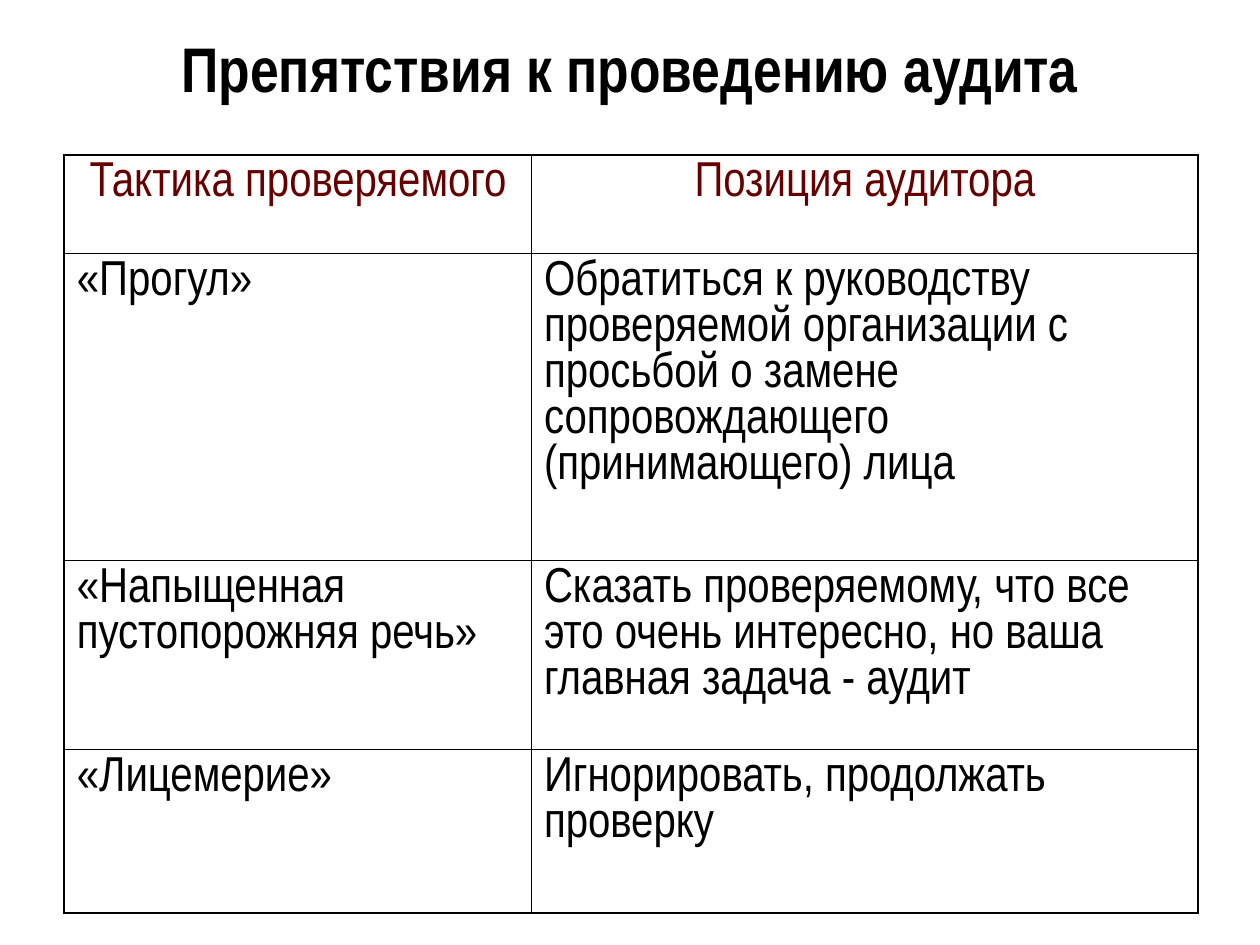
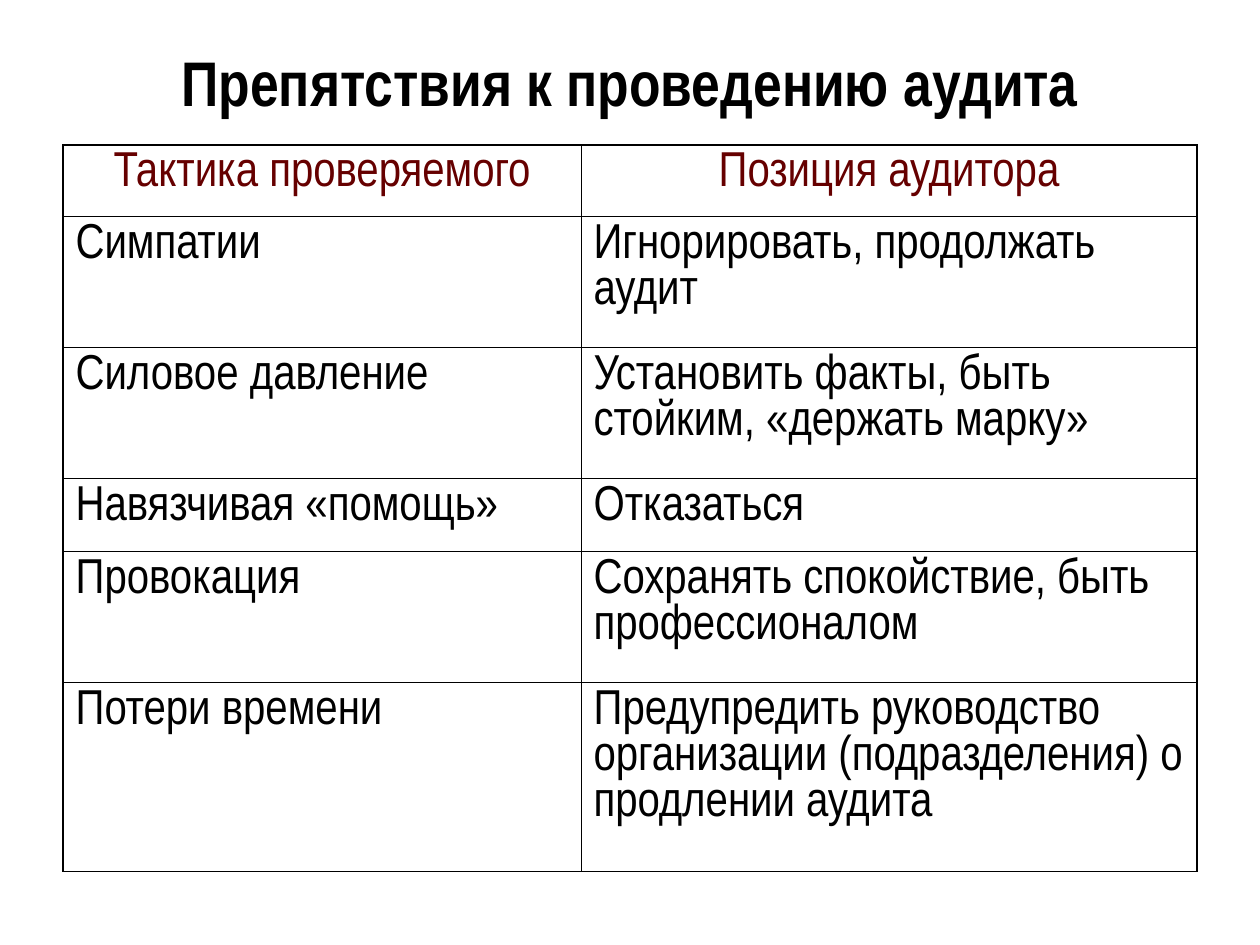
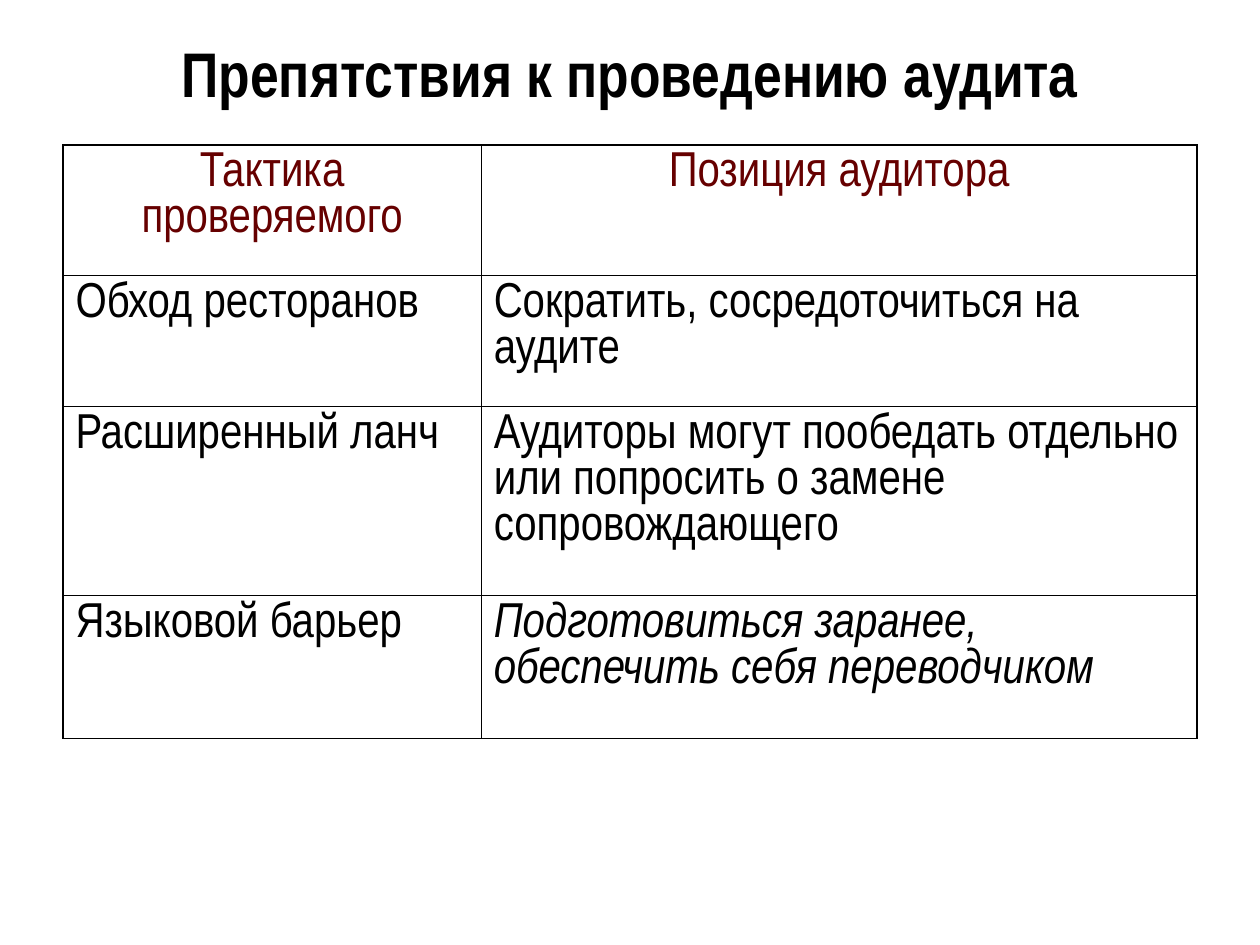
from dataclasses import dataclass

from lxml import etree
from pptx import Presentation
from pptx import util as u
from pptx.dml import color
from pptx.enum import text
from pptx.oxml import ns


@dataclass(frozen=True)
class Theme:
    font: str = "Arial Narrow"
    ink: str = "000000"
    heading: str = "660000"
    title_size: float = 36
    cell_size: float = 28
    outer_line: float = 1.08
    inner_line: float = 0.45


THEME = Theme()
PAGE_SIZE = (720, 540)
TITLE = "Препятствия к проведению аудита"
HEADINGS = ("Тактика проверяемого", "Позиция аудитора")

# Boxes are left, top, width, height; the first row height is the heading row.
SLIDES = [
    {
        "title_box": (36, 15, 648, 47),
        "table_box": (36.7, 88.5, 648, 433.3),
        "first_column": 267,
        "row_heights": (56.2, 175.7, 108, 93.4),
        "rows": [
            ("«Прогул»", "Обратиться к руководству проверяемой организации с просьбой "
                         "о замене сопровождающего (принимающего) лица"),
            ("«Напыщенная пустопорожняя речь»",
             "Сказать проверяемому, что все это очень интересно, но ваша главная задача - аудит"),
            ("«Лицемерие»", "Игнорировать, продолжать проверку"),
        ],
    },
    {
        "title_box": (36, 20, 648, 53),
        "table_box": (36, 82.8, 648, 415.2),
        "first_column": 296,
        "row_heights": (41, 74.8, 74.8, 41.8, 74.8, 108),
        "rows": [
            ("Симпатии", "Игнорировать, продолжать аудит"),
            ("Силовое давление", "Установить факты, быть стойким, «держать марку»"),
            ("Навязчивая «помощь»", "Отказаться"),
            ("Провокация", "Сохранять спокойствие, быть профессионалом"),
            ("Потери времени",
             "Предупредить руководство организации (подразделения) о продлении аудита"),
        ],
    },
    {
        "title_box": (36, 15, 648, 53),
        "table_box": (36, 82.8, 648, 339.1),
        "first_column": 239,
        "row_heights": (74.8, 74.8, 108, 81.5),
        "rows": [
            ("Обход ресторанов", "Сократить, сосредоточиться на аудите"),
            ("Расширенный ланч",
             "Аудиторы могут пообедать отдельно или попросить о замене сопровождающего"),
            ("Языковой барьер", "Подготовиться заранее, обеспечить себя переводчиком"),
        ],
        "italic_cell": (3, 1),
    },
]


def write(frame, words, size=THEME.cell_size, ink=THEME.ink, bold=False, italic=False,
          align=text.PP_ALIGN.LEFT):
    frame.word_wrap = True
    para = frame.paragraphs[0]
    para.alignment = align
    span = para.add_run()
    span.text = words
    span.font.name = THEME.font
    span.font.size = u.Pt(size)
    span.font.bold = bold
    span.font.italic = italic
    span.font.color.rgb = color.RGBColor.from_string(ink)


def add_title(page, box):
    frame = page.shapes.add_textbox(*map(u.Pt, box)).text_frame
    frame.margin_left = frame.margin_right = frame.margin_top = frame.margin_bottom = 0
    frame.vertical_anchor = text.MSO_ANCHOR.MIDDLE
    write(frame, TITLE, size=THEME.title_size, bold=True, align=text.PP_ALIGN.CENTER)


def set_borders(cell, widths):
    """Draw the left, right, top and bottom lines, in that order."""
    properties = cell._tc.get_or_add_tcPr()
    for index, (side, width) in enumerate(zip("LRTB", widths)):
        line = etree.Element(ns.qn(f"a:ln{side}"), w=str(u.Pt(width)))
        fill = etree.SubElement(line, ns.qn("a:solidFill"))
        etree.SubElement(fill, ns.qn("a:srgbClr"), val=THEME.ink)
        properties.insert(index, line)


def add_tactics_table(page, box, first_column, row_heights, rows, italic_cell=None):
    grid = [HEADINGS, *rows]
    last_row, last_column = len(grid) - 1, len(HEADINGS) - 1
    table = page.shapes.add_table(len(grid), len(HEADINGS), *map(u.Pt, box)).table
    table.first_row = table.horz_banding = False
    for column, width in zip(table.columns, (first_column, box[2] - first_column)):
        column.width = u.Pt(width)
    for r, (height, row) in enumerate(zip(row_heights, grid)):
        table.rows[r].height = u.Pt(height)
        for c, words in enumerate(row):
            cell = table.cell(r, c)
            cell.fill.background()
            edges = (c == 0, c == last_column, r == 0, r == last_row)
            set_borders(cell, [THEME.outer_line if edge else THEME.inner_line for edge in edges])
            if r == 0:
                write(cell.text_frame, words, ink=THEME.heading, align=text.PP_ALIGN.CENTER)
            else:
                write(cell.text_frame, words, italic=(r, c) == italic_cell)


def add_tactics_slide(deck, title_box, table_box, **table_parts):
    page = deck.slides.add_slide(deck.slide_layouts[6])
    add_title(page, title_box)
    add_tactics_table(page, table_box, **table_parts)


def main():
    deck = Presentation()
    deck.slide_width, deck.slide_height = map(u.Pt, PAGE_SIZE)
    for parts in SLIDES:
        add_tactics_slide(deck, **parts)
    deck.save("out.pptx")


if __name__ == "__main__":
    main()
